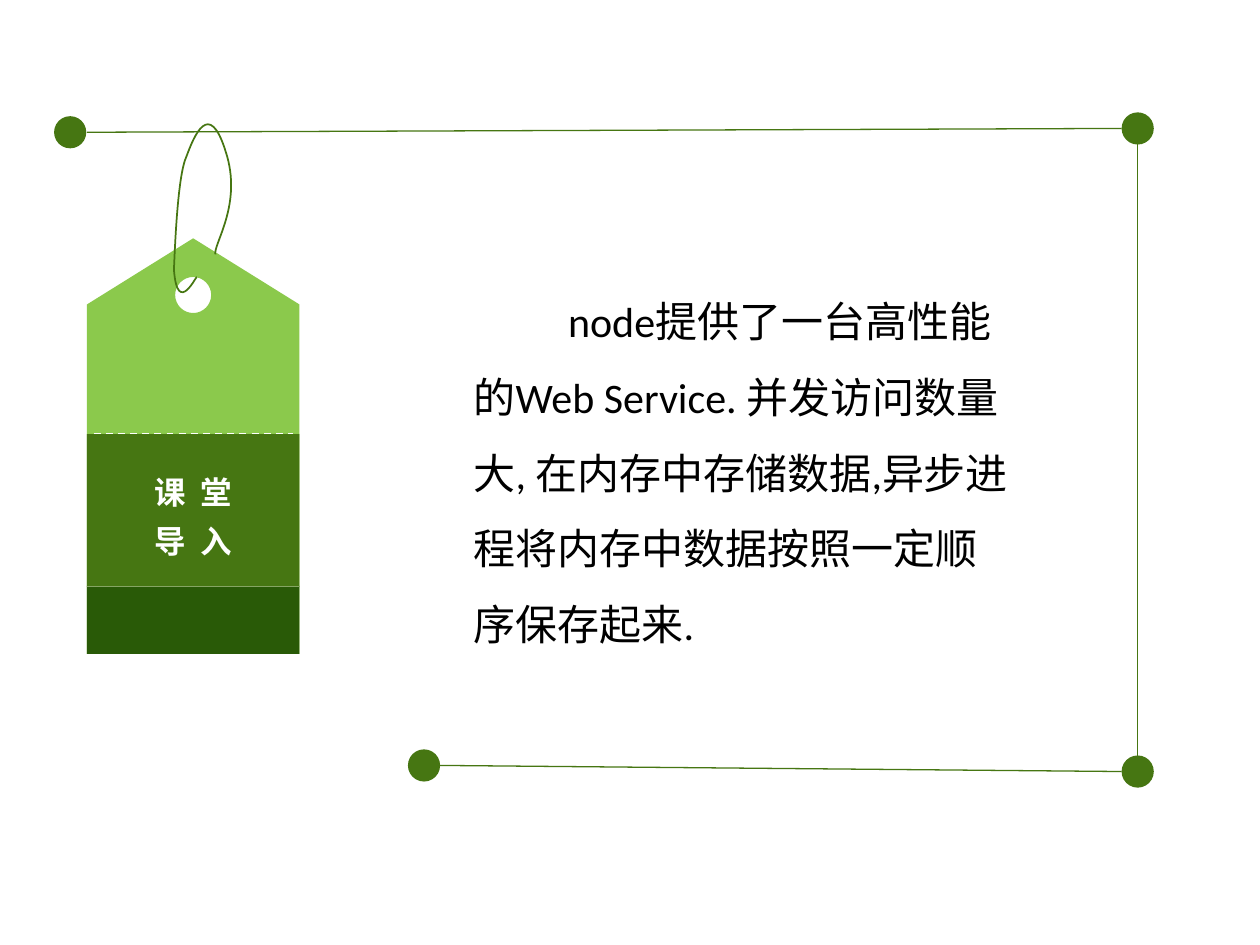
from lxml import etree
from pptx import Presentation
from pptx.dml.color import RGBColor
from pptx.enum import dml, shapes, text
from pptx.oxml.ns import qn
from pptx.util import Pt

# Content
LABEL = ["课 堂", "导 入"]
BODY = ("node提供了一台高性能的Web Service. 并发访问数量大, 在内存中存储数据,"
        "异步进程将内存中数据按照一定顺序保存起来.")
COLORS = {"light": "8BC94C", "mid": "467612", "dark": "295A07",
          "white": "FFFFFF", "black": "000000"}
LATIN, CJK = "Calibri", "Noto Sans CJK SC"

# Frame, in points
DOT = 18.4
DOTS = [(40.1, 75.6), (650.1, 73.4), (242.3, 437.4), (650.1, 440.9)]
LINES = [((49.7, 75.6), (640.9, 73.4)),
         ((251.5, 437.4), (640.9, 440.9)),
         ((650.1, 80.6), (650.1, 437.8))]

# Tag, in points; M moves, L draws a line, C draws a curve, Z closes
LEFT, RIGHT = 49.7, 171.1
PEAK, SHOULDER, BAND, FOOT, BOTTOM = 136.2, 174, 248.1, 334.8, 373.7
MID = (LEFT + RIGHT) / 2
HOLE, R = 168.6, 10.3
K = 0.55 * R
TAG = [
    ("M", (MID, HOLE - R)),
    ("C", (MID - K, HOLE - R), (MID - R, HOLE - K), (MID - R, HOLE)),
    ("C", (MID - R, HOLE + K), (MID - K, HOLE + R), (MID, HOLE + R)),
    ("C", (MID + K, HOLE + R), (MID + R, HOLE + K), (MID + R, HOLE)),
    ("C", (MID + R, HOLE - K), (MID + K, HOLE - R), (MID, HOLE - R)),
    ("Z",),
    ("M", (MID, PEAK)), ("L", (RIGHT, SHOULDER)), ("L", (RIGHT, BOTTOM)),
    ("L", (LEFT, BOTTOM)), ("L", (LEFT, SHOULDER)), ("Z",),
]
CORD = [
    ("M", (112.6, 158.4)),
    ("C", (113, 155.5), (101.5, 182), (99.4, 154.1)),
    ("C", (100, 141), (101.5, 100), (106.6, 89.3)),
    ("C", (110.9, 77.8), (119.5, 56.2), (128.9, 86.4)),
    ("C", (139, 116.6), (121.7, 139.7), (123.1, 145.4)),
]
TAG_BOX = (LEFT, PEAK, RIGHT, BOTTOM)
CORD_BOX = (99.4, 71.2, 132.1, 167.2)
STEPS = {"M": "a:moveTo", "L": "a:lnTo", "C": "a:cubicBezTo", "Z": "a:close"}

prs = Presentation()
prs.slide_width, prs.slide_height = Pt(720), Pt(540)
s = prs.slides.add_slide(prs.slide_layouts[6])


def rgb(name):
    return RGBColor.from_string(COLORS[name])


def paint(sp, color):
    sp.shadow.inherit = False
    sp.fill.solid()
    sp.fill.fore_color.rgb = rgb(color)
    sp.line.fill.background()


def add_shape(kind, x, y, w, h, color):
    sp = s.shapes.add_shape(kind, Pt(x), Pt(y), Pt(w), Pt(h))
    paint(sp, color)
    return sp


def add_line(start, end, color, width=0.75):
    ends = [Pt(v) for v in start + end]
    ln = s.shapes.add_connector(shapes.MSO_CONNECTOR.STRAIGHT, *ends)
    ln.line.color.rgb = rgb(color)
    ln.line.width = Pt(width)
    etree.SubElement(ln._element.spPr, qn("a:effectLst"))
    return ln


def add_outline(box, commands):
    """Freeform sized by its box, with true curves in its path."""
    x0, y0, x1, y1 = box
    fb = s.shapes.build_freeform(Pt(x0), Pt(y0))
    fb.add_line_segments([(Pt(x1), Pt(y1))])
    sp = fb.convert_to_shape()
    path = next(sp._element.iter(qn("a:path")))
    for child in list(path):
        path.remove(child)
    for step, *points in commands:
        node = etree.SubElement(path, qn(STEPS[step]))
        for x, y in points:
            pt = etree.SubElement(node, qn("a:pt"))
            pt.set("x", str(int(Pt(x - x0))))
            pt.set("y", str(int(Pt(y - y0))))
    return sp


def add_run(p, words, size, color, latin):
    r = p.add_run()
    r.text = words
    r.font.size, r.font.name = Pt(size), latin
    r.font.color.rgb = rgb(color)
    etree.SubElement(r._r.get_or_add_rPr(), qn("a:ea")).set("typeface", CJK)
    return r


# Tag with a round hole, its foot and label band
RECT = shapes.MSO_SHAPE.RECTANGLE
paint(add_outline(TAG_BOX, TAG), "light")
add_shape(RECT, LEFT, FOOT, RIGHT - LEFT, BOTTOM - FOOT, "dark")
add_line((LEFT, FOOT), (RIGHT, FOOT), "white")
stitch = add_line((LEFT + 3.8, BAND), (RIGHT - 3.8, BAND), "white", 1)
stitch.line.dash_style = dml.MSO_LINE.DASH
band = add_shape(RECT, LEFT, BAND, RIGHT - LEFT, 87.1, "mid")
tf = band.text_frame
tf.word_wrap = True
tf.vertical_anchor = text.MSO_ANCHOR.MIDDLE
tf.margin_left = tf.margin_right = Pt(4.3)
tf.margin_top = tf.margin_bottom = Pt(3.6)
for i, words in enumerate(LABEL):
    p = tf.add_paragraph() if i else tf.paragraphs[0]
    p.alignment, p.line_spacing = text.PP_ALIGN.CENTER, 1.3
    r = add_run(p, words, 18, "white", CJK)
    r.font.bold = True
    r._r.get_or_add_rPr().set("spc", "200")

# Cord
cord = add_outline(CORD_BOX, CORD)
cord.shadow.inherit = False
cord.fill.background()
cord.line.color.rgb, cord.line.width = rgb("mid"), Pt(1)

# Frame of dots and lines
for x, y in DOTS:
    add_shape(shapes.MSO_SHAPE.OVAL, x - DOT / 2, y - DOT / 2, DOT, DOT, "mid")
for start, end in LINES:
    add_line(start, end, "mid")

# Body text
tf = s.shapes.add_textbox(Pt(263.5), Pt(151.2), Pt(322.6), Pt(225.4)).text_frame
tf.word_wrap = True
tf.auto_size = text.MSO_AUTO_SIZE.SHAPE_TO_FIT_TEXT
p = tf.paragraphs[0]
p.line_spacing = 1.5
p._p.get_or_add_pPr().set("indent", str(int(Pt(54))))
add_run(p, BODY, 24, "black", LATIN)

prs.save("out.pptx")
